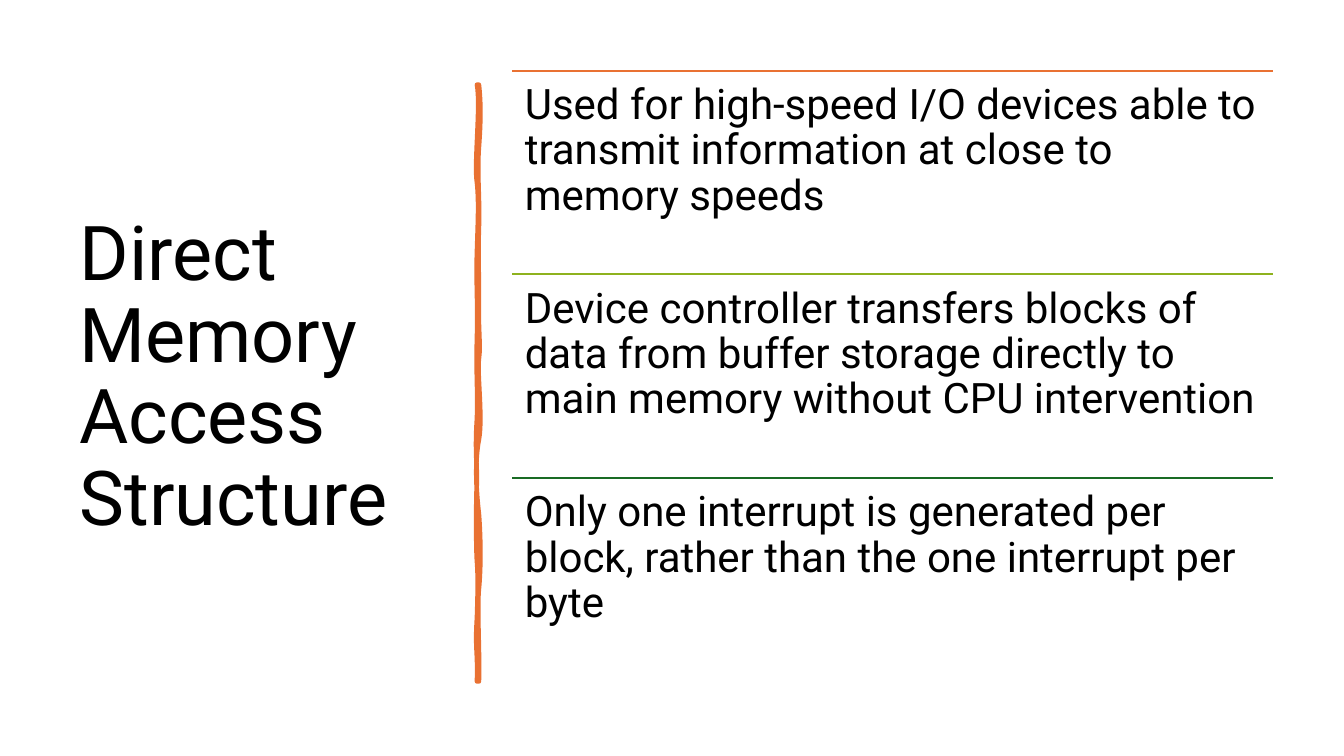
from lxml.etree import SubElement
from pptx import Presentation
from pptx.dml.color import RGBColor
from pptx.enum.shapes import MSO_CONNECTOR as CONN
from pptx.enum.text import MSO_ANCHOR as ANCHOR
from pptx.oxml.ns import qn
from pptx.util import Inches, Pt

BLACK = RGBColor(0x00, 0x00, 0x00)
ORANGE = RGBColor(0xE9, 0x71, 0x32)
LIME = RGBColor(0x8E, 0xB2, 0x1E)
GREEN = RGBColor(0x19, 0x6B, 0x24)
FONT = "Roboto"

TITLE = "Direct Memory Access Structure"
POINTS = [
    ("Used for high-speed I/O devices able to transmit information at close to memory speeds", ORANGE),
    ("Device controller transfers blocks of data from buffer storage directly to main memory "
     "without CPU intervention", LIME),
    ("Only one interrupt is generated per block, rather than the one interrupt per byte", GREEN),
]

STROKE_START = (4.75, 0.84)
STROKE_LENGTH, STROKE_WIDTH = 5.92, 0.02
STROKE_LINE = [
    (4.77, 1.02, 4.77, 1.19, 4.75, 1.46), (4.73, 1.73, 4.76, 1.95, 4.75, 2.26),
    (4.74, 2.57, 4.75, 2.62, 4.75, 2.94), (4.74, 3.25, 4.77, 3.42, 4.75, 3.56),
    (4.73, 3.7, 4.79, 4.14, 4.75, 4.36), (4.71, 4.57, 4.72, 4.84, 4.75, 5.1),
    (4.77, 5.36, 4.77, 5.64, 4.75, 5.84), (4.73, 6.03, 4.76, 6.5, 4.75, 6.76),
    (4.74, 6.76, 4.73, 6.76, 4.73, 6.76), (4.74, 6.46, 4.71, 6.44, 4.73, 6.13),
    (4.74, 5.83, 4.74, 5.7, 4.73, 5.57), (4.72, 5.44, 4.72, 4.95, 4.73, 4.77),
    (4.73, 4.59, 4.71, 4.45, 4.73, 4.15), (4.74, 3.86, 4.72, 3.73, 4.73, 3.35),
    (4.74, 2.98, 4.72, 2.81, 4.73, 2.5), (4.74, 2.18, 4.75, 2, 4.73, 1.81),
    (4.7, 1.63, 4.77, 1.04, 4.73, 0.84), (4.74, 0.84, 4.74, 0.84, 4.75, 0.84),
]
STROKE_FILL = [
    (4.75, 1.15, 4.72, 1.25, 4.75, 1.52), (4.77, 1.79, 4.74, 1.97, 4.75, 2.08),
    (4.76, 2.2, 4.74, 2.55, 4.75, 2.94), (4.76, 3.33, 4.73, 3.43, 4.75, 3.62),
    (4.77, 3.81, 4.77, 3.97, 4.75, 4.3), (4.72, 4.63, 4.75, 4.74, 4.75, 5.16),
    (4.75, 5.57, 4.74, 5.53, 4.75, 5.78), (4.76, 6.03, 4.74, 6.47, 4.75, 6.76),
    (4.74, 6.75, 4.73, 6.75, 4.73, 6.76), (4.7, 6.49, 4.74, 6.32, 4.73, 6.13),
    (4.72, 5.95, 4.75, 5.69, 4.73, 5.39), (4.71, 5.1, 4.76, 5, 4.73, 4.71),
    (4.7, 4.42, 4.77, 4.2, 4.73, 3.86), (4.69, 3.51, 4.74, 3.25, 4.73, 3),
    (4.71, 2.75, 4.71, 2.59, 4.73, 2.38), (4.74, 2.16, 4.74, 1.85, 4.73, 1.64),
    (4.71, 1.43, 4.75, 1.21, 4.73, 0.84), (4.74, 0.84, 4.74, 0.84, 4.75, 0.84),
]

LEFT, TOP, WIDTH, ROW_HEIGHT = 5.08, 0.7, 7.55, 2.02


def add_text(shapes, box, text, size, anchor, inset_x, inset_y):
    sp = shapes.add_textbox(*map(Inches, box))
    tf = sp.text_frame
    tf.word_wrap = True
    tf.vertical_anchor = anchor
    tf.margin_left = tf.margin_right = inset_x
    tf.margin_top = tf.margin_bottom = inset_y
    tf.text = text
    p = tf.paragraphs[0]
    p.line_spacing = 0.9
    font = p.runs[0].font
    font.name, font.size = FONT, Pt(size)
    font.color.rgb = BLACK


def add_rule(shapes, y, color):
    line = shapes.add_connector(
        CONN.STRAIGHT, Inches(LEFT), Inches(y), Inches(LEFT + WIDTH), Inches(y))
    line.line.color.rgb = color
    line.line.width = Pt(1.5)
    SubElement(line._element.spPr, qn("a:effectLst"))


def add_command(path, name, points):
    command = SubElement(path, qn(f"a:{name}"))
    x0, y0 = STROKE_START
    for x, y in points:
        SubElement(command, qn("a:pt"), x=str(Inches(y - y0)), y=str(Inches(x0 - x)))


def add_stroke(shapes):
    x0, y0 = STROKE_START
    left = x0 - (STROKE_WIDTH + STROKE_LENGTH) / 2
    top = y0 + (STROKE_LENGTH - STROKE_WIDTH) / 2
    right, bottom = left + STROKE_LENGTH, top + STROKE_WIDTH
    builder = shapes.build_freeform(Inches(left), Inches(top))
    builder.add_line_segments([(Inches(right), Inches(top)), (Inches(right), Inches(bottom))])
    sp = builder.convert_to_shape()
    sp.rotation = 90
    path_list = sp._element.spPr.find(f".//{qn('a:pathLst')}")
    path_list.remove(path_list[0])
    size = {"w": str(Inches(STROKE_LENGTH)), "h": str(Inches(STROKE_WIDTH))}
    for curves, paint in ((STROKE_LINE, {"fill": "none"}), (STROKE_FILL, {"stroke": "0"})):
        path = SubElement(path_list, qn("a:path"), **size, **paint)
        add_command(path, "moveTo", [STROKE_START])
        for curve in curves:
            add_command(path, "cubicBezTo", zip(curve[::2], curve[1::2]))
        SubElement(path, qn("a:close"))
    sp.shadow.inherit = False
    sp.fill.solid()
    sp.fill.fore_color.rgb = ORANGE
    sp.line.color.rgb = ORANGE
    sp.line.width = Pt(3.25)
    ln = sp.line._get_or_add_ln()
    ln.set("cap", "rnd")
    SubElement(ln, qn("a:round"))


prs = Presentation()
prs.slide_width, prs.slide_height = Inches(13.33), Inches(7.5)
slide = prs.slides.add_slide(prs.slide_layouts[6])

add_text(slide.shapes, (0.69, 0.7, 3.74, 6.11), TITLE, 54, ANCHOR.MIDDLE, Inches(0.1), Inches(0.05))
add_stroke(slide.shapes)
point_shapes = slide.shapes.add_group_shape().shapes
for i, (text, color) in enumerate(POINTS):
    y = TOP + i * ROW_HEIGHT
    add_rule(point_shapes, y, color)
    add_text(point_shapes, (LEFT, y, WIDTH, ROW_HEIGHT), text, 30, ANCHOR.TOP, Pt(9), Pt(9))

prs.save("out.pptx")
